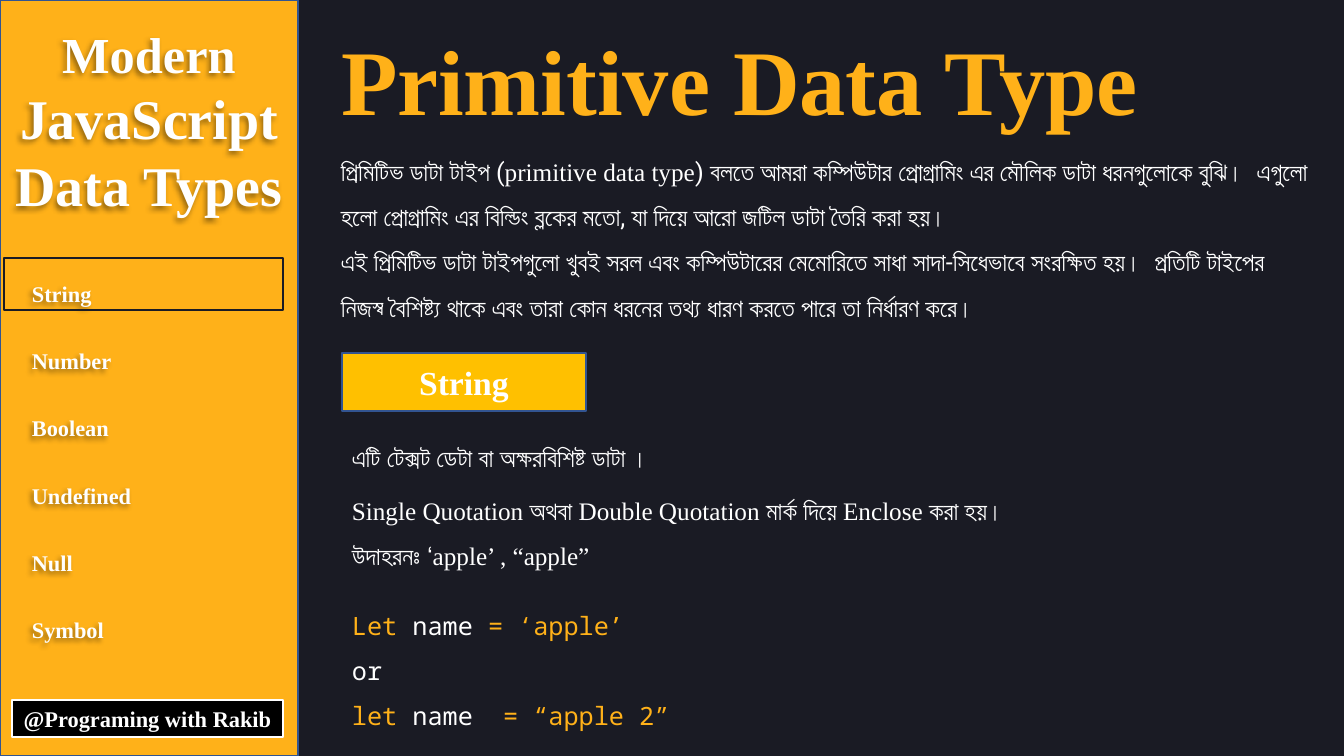
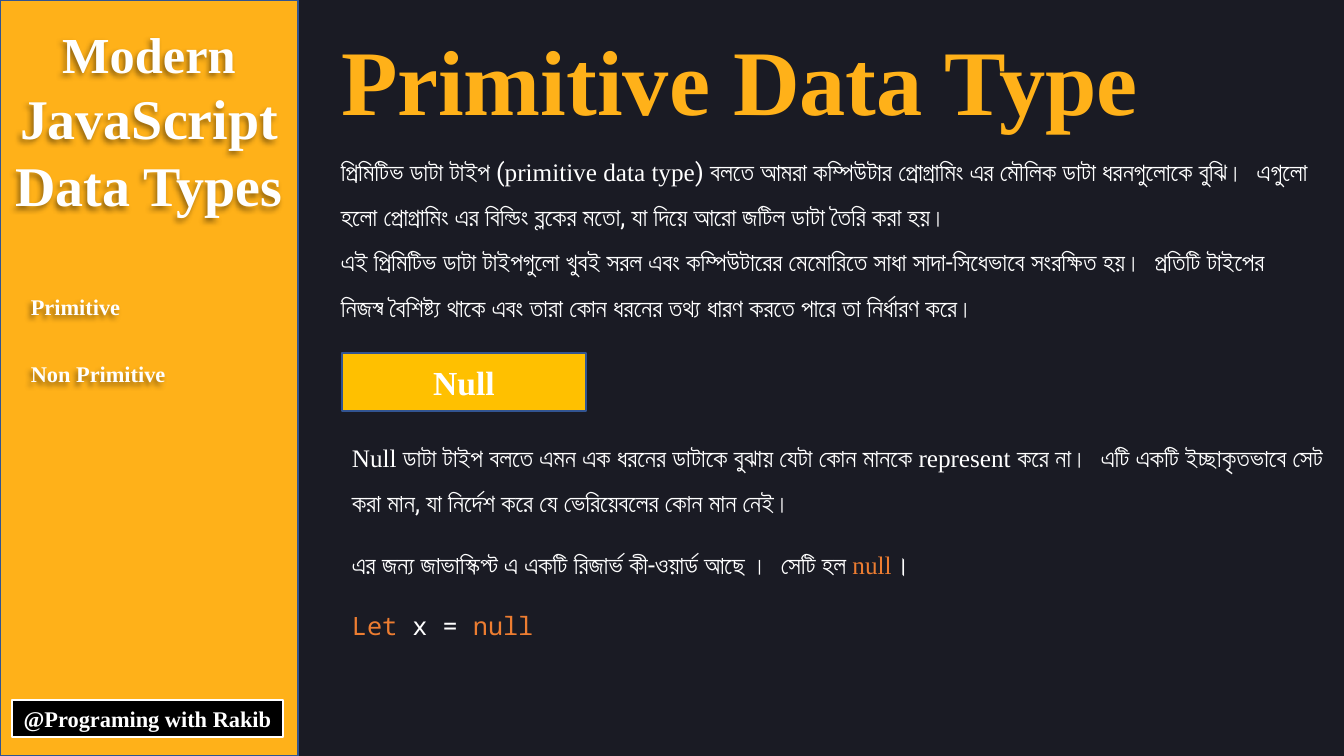
import dataclasses

import lxml.etree
import pptx
import pptx.dml.color
import pptx.enum.shapes
import pptx.enum.text
import pptx.oxml.ns
import pptx.util

PX = 914400 / 100.8
LEFT = pptx.enum.text.PP_ALIGN.LEFT
CENTER = pptx.enum.text.PP_ALIGN.CENTER
TOP = pptx.enum.text.MSO_ANCHOR.TOP
MIDDLE = pptx.enum.text.MSO_ANCHOR.MIDDLE


@dataclasses.dataclass(frozen=True)
class Theme:
    """Colours, fonts and type sizes shared by the slides."""
    night: str = "1A1B24"
    amber: str = "FFB119"
    gold: str = "FFC000"
    orange: str = "ED7D31"
    edge: str = "325491"
    white: str = "FFFFFF"
    black: str = "000000"
    serif: str = "Times New Roman"
    bangla: str = "Roboto"
    mono: str = "Noto Sans Mono"
    title: int = 66
    brand: int = 40
    brand_lead: int = 36
    badge: int = 24
    body: int = 18
    menu: int = 16


THEME = Theme()


@dataclasses.dataclass(frozen=True)
class Style:
    """Look of one run of text."""
    font: str
    size: int = THEME.body
    color: str = THEME.white
    bold: bool = False


LATIN = Style(THEME.serif)
BANGLA = Style(THEME.bangla)
KEYWORD = Style(THEME.serif, color=THEME.orange)
CODE = Style(THEME.mono)
CODE_AMBER = Style(THEME.mono, color=THEME.amber)
CODE_ORANGE = Style(THEME.mono, color=THEME.orange)
TITLE = Style(THEME.serif, THEME.title, THEME.amber, True)
BRAND = Style(THEME.serif, THEME.brand, bold=True)
BRAND_LEAD = Style(THEME.serif, THEME.brand_lead, bold=True)
BADGE = Style(THEME.serif, THEME.badge, bold=True)
MENU = Style(THEME.serif, THEME.menu, bold=True)

INTRO = [
    [("প্রিমিটিভ ডাটা টাইপ (", BANGLA), ("primitive data type", LATIN),
     (") বলতে আমরা কম্পিউটার প্রোগ্রামিং এর মৌলিক ডাটা ধরনগুলোকে বুঝি।  এগুলো হলো প্রোগ্রামিং এর "
      "বিল্ডিং ব্লকের মতো, যা দিয়ে আরো জটিল ডাটা তৈরি করা হয়।", BANGLA)],
    [("এই প্রিমিটিভ ডাটা টাইপগুলো খুবই সরল এবং কম্পিউটারের মেমোরিতে সাধা সাদা-সিধেভাবে সংরক্ষিত হয়।  "
      "প্রতিটি টাইপের নিজস্ব বৈশিষ্ট্য থাকে এবং তারা কোন ধরনের তথ্য ধারণ করতে পারে তা নির্ধারণ করে।",
      BANGLA)],
]

STRING_NOTES = [
    (422, 52, [[("এটি টেক্সট ডেটা বা অক্ষরবিশিষ্ট ডাটা ।", BANGLA)]]),
    (475, 98, [
        [("Single Quotation ", LATIN), ("অথবা ", BANGLA), ("Double Quotation ", LATIN),
         ("মার্ক দিয়ে ", BANGLA), ("Enclose ", LATIN), ("করা হয়।", BANGLA)],
        [("উদাহরনঃ ", BANGLA), ("‘apple’ , “apple”", LATIN)],
    ]),
]
STRING_CODE = [
    [("Let ", CODE_AMBER), ("name", CODE), (" = ‘apple’", CODE_AMBER)],
    [("or", CODE)],
    [("let ", CODE_AMBER), ("name", CODE), ("  = “apple 2”", CODE_AMBER)],
]

NULL_NOTES = [
    (422, 98, [
        [("Null ", LATIN), ("ডাটা টাইপ বলতে এমন এক ধরনের ডাটাকে বুঝায় যেটা কোন মানকে ", BANGLA),
         ("represent", LATIN),
         (" করে না।  এটি একটি ইচ্ছাকৃতভাবে সেট করা মান, যা নির্দেশ করে যে ভেরিয়েবলের কোন মান নেই।",
          BANGLA)],
    ]),
    (529, 51, [
        [("এর জন্য জাভাস্কিপ্ট এ একটি রিজার্ভ কী-ওয়ার্ড আছে ।  সেটি হল ", BANGLA),
         ("null", KEYWORD), ("।", BANGLA)],
    ]),
]
NULL_CODE = [[("Let ", CODE_ORANGE), ("x = ", CODE), ("null", CODE_ORANGE)]]


def emu(*lengths):
    """Turn px lengths into EMU."""
    return [pptx.util.Emu(round(length * PX)) for length in lengths]


def rgb(color):
    """Return a colour object for a hex string."""
    return pptx.dml.color.RGBColor.from_string(color)


def write(frame, paragraphs, align=LEFT, spacing=1.0, anchor=TOP, wrap=True):
    """Fill a text frame with paragraphs of styled runs."""
    frame.word_wrap = wrap
    frame.vertical_anchor = anchor
    for index, runs in enumerate(paragraphs):
        paragraph = frame.add_paragraph() if index else frame.paragraphs[0]
        paragraph.alignment = align
        paragraph.line_spacing = spacing
        for words, style in runs:
            run = paragraph.add_run()
            run.text = words
            run.font.name = style.font
            run.font.size = pptx.util.Pt(style.size)
            run.font.bold = style.bold
            run.font.color.rgb = rgb(style.color)


def add_text(slide, box, paragraphs, **layout):
    """Add a text box that fits its text."""
    text = slide.shapes.add_textbox(*emu(*box))
    write(text.text_frame, paragraphs, **layout)
    text.text_frame.auto_size = pptx.enum.text.MSO_AUTO_SIZE.SHAPE_TO_FIT_TEXT
    return text


def add_panel(slide, box, fill, line, weight=1):
    """Add a flat rectangle, hollow when no fill is given."""
    panel = slide.shapes.add_shape(pptx.enum.shapes.MSO_SHAPE.RECTANGLE, *emu(*box))
    panel.shadow.inherit = False
    if fill:
        panel.fill.solid()
        panel.fill.fore_color.rgb = rgb(fill)
    else:
        panel.fill.background()
    panel.line.color.rgb = rgb(line)
    panel.line.width = pptx.util.Pt(weight)
    return panel


def cast_shadow(text):
    """Give the letters of a text box a soft shadow."""
    tag = pptx.oxml.ns.qn
    effects = lxml.etree.SubElement(text.element.spPr, tag("a:effectLst"))
    shadow = lxml.etree.SubElement(effects, tag("a:outerShdw"), blurRad="50800", dist="38100",
                                   dir="8100000", algn="tr", rotWithShape="0")
    tint = lxml.etree.SubElement(shadow, tag("a:srgbClr"), val=THEME.black)
    lxml.etree.SubElement(tint, tag("a:alpha"), val="40000")


def add_sidebar(slide, box, entries, menu_box, highlight=None):
    """Draw the sidebar with its heading, menu and signature."""
    left, top, width, height = box
    add_panel(slide, box, THEME.amber, THEME.edge)
    heading = [[("Modern", BRAND_LEAD)], [("JavaScript", BRAND)], [("Data Types", BRAND)]]
    cast_shadow(add_text(slide, (left + 4, top + 18, width - 8, 275), heading,
                         align=CENTER, wrap=False))
    signature = add_panel(slide, (left + 12, top + height - 56, 271, 37),
                          THEME.black, THEME.white, 1.5)
    write(signature.text_frame, [[("@Programing with Rakib", MENU)]],
          align=CENTER, anchor=MIDDLE, wrap=False)
    x, y, menu_width, menu_height = menu_box
    cast_shadow(add_text(slide, (left + x, top + y, menu_width, menu_height),
                         [[(entry, MENU)] for entry in entries], spacing=2.5, wrap=False))
    if highlight:
        x, y, mark_width, mark_height = highlight
        add_panel(slide, (left + x, top + y, mark_width, mark_height), None, THEME.night)


def add_content(slide, box, kind, notes, code, code_size):
    """Place the title, introduction, type badge, notes and code."""
    left, top, width, height = box
    title = slide.shapes.title
    title.left, title.top, title.width, title.height = emu(left, top + 18, 823, 122)
    write(title.text_frame, [[("Primitive Data Type", TITLE)]])
    add_text(slide, (left, top + 136, width, 190), INTRO, spacing=1.5)
    inner = left + 11
    badge = add_panel(slide, (inner, top + 353, 244, 58), THEME.gold, THEME.edge)
    write(badge.text_frame, [[(kind, BADGE)]], align=CENTER, anchor=MIDDLE)
    for offset, note_height, paragraphs in notes:
        add_text(slide, (inner, top + offset, width, note_height), paragraphs, spacing=1.5)
    add_text(slide, (inner, top + 590, *code_size), code, spacing=1.5, wrap=False)


def add_type_slide(deck, sidebar, content):
    """Add one slide about a data type."""
    slide = deck.slides.add_slide(deck.slide_layouts[5])
    add_sidebar(slide, (0, 0, 298, 756), **sidebar)
    add_content(slide, (331, 0, 991, 756), **content)


def main():
    """Build and save the deck."""
    deck = pptx.Presentation()
    deck.slide_width, deck.slide_height = emu(1344, 756)
    backdrop = deck.slide_master.background.fill
    backdrop.solid()
    backdrop.fore_color.rgb = rgb(THEME.night)
    add_type_slide(
        deck,
        dict(entries=["String", "Number", "Boolean", "Undefined", "Null", "Symbol"],
             menu_box=(22, 235, 121, 405), highlight=(4, 258, 279, 52)),
        dict(kind="String", notes=STRING_NOTES, code=STRING_CODE, code_size=(340, 143)))
    add_type_slide(
        deck,
        dict(entries=["Primitive", "Non Primitive"], menu_box=(21, 248, 157, 134)),
        dict(kind="Null", notes=NULL_NOTES, code=NULL_CODE, code_size=(203, 51)))
    deck.save("out.pptx")


if __name__ == "__main__":
    main()
